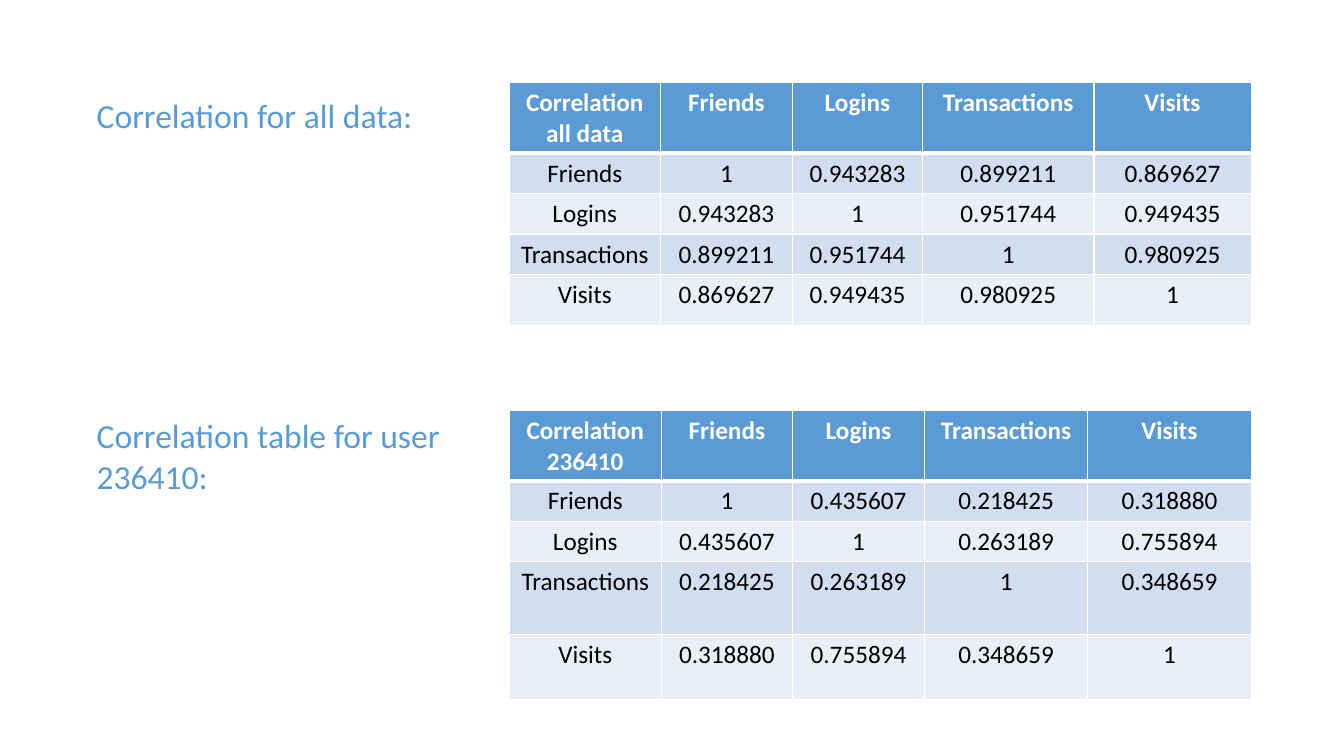
"""Build a slide with two labelled correlation tables."""
from dataclasses import dataclass
from itertools import combinations

from lxml import etree
from pptx import Presentation
from pptx.dml import color
from pptx.enum import text
from pptx.oxml import ns
from pptx import util as u

COLORS = {"accent": "5B9BD5", "white": "FFFFFF", "black": "000000",
          "band_dark": "D2DEEF", "band_light": "EAEFF7"}
FONT = "Calibri"
MEASURES = ("Friends", "Logins", "Transactions", "Visits")
TABLE_LEFT = 5.05
LABEL_LEFT = 0.86


@dataclass(frozen=True)
class Section:
    label: str
    corner: str
    top: float
    label_width: float
    label_height: float
    label_anchor: text.MSO_ANCHOR
    line_spacing: float
    columns: tuple[float, ...]
    rows: tuple[float, ...]
    correlations: tuple[str, ...]


SECTIONS = (
    Section("Correlation for all data:", "Correlation\nall data", 0.82, 3.92, 0.69,
            text.MSO_ANCHOR.MIDDLE, 0.9,
            (1.5, 1.31, 1.29, 1.7, 1.56), (0.7, 0.4, 0.4, 0.4, 0.51),
            ("0.943283", "0.899211", "0.869627", "0.951744", "0.949435", "0.980925")),
    Section("Correlation table for user 236410:", "Correlation 236410", 4.07, 3.65, 0.91,
            text.MSO_ANCHOR.TOP, 1.0,
            (1.51, 1.3, 1.31, 1.62, 1.62), (0.7, 0.4, 0.4, 0.72, 0.65),
            ("0.435607", "0.218425", "0.318880", "0.263189", "0.755894", "0.348659")),
)


def correlation_grid(section: Section) -> list[list[str]]:
    pairs = dict(zip(combinations(MEASURES, 2), section.correlations))
    grid = [[section.corner, *MEASURES]]
    for row in MEASURES:
        grid.append([row] + [pairs.get((row, column)) or pairs.get((column, row), "1")
                             for column in MEASURES])
    return grid


def format_text(frame, size: int, color_name: str, bold: bool = False) -> None:
    for paragraph in frame.paragraphs:
        for run in paragraph.runs:
            run.font.name = FONT
            run.font.size = u.Pt(size)
            run.font.bold = bold
            run.font.color.rgb = color.RGBColor.from_string(COLORS[color_name])


def set_borders(cell, top: int, bottom: int) -> None:
    properties = cell._tc.get_or_add_tcPr()
    widths = {"lnL": 1, "lnR": 1, "lnT": top, "lnB": bottom}
    for position, (side, width) in enumerate(widths.items()):
        line = etree.Element(ns.qn(f"a:{side}"), w=str(u.Pt(width)))
        fill = etree.SubElement(line, ns.qn("a:solidFill"))
        etree.SubElement(fill, ns.qn("a:srgbClr"), val=COLORS["white"])
        properties.insert(position, line)


def format_cell(cell, row: int) -> None:
    header = row == 0
    band = "accent" if header else "band_dark" if row % 2 else "band_light"
    cell.fill.solid()
    cell.fill.fore_color.rgb = color.RGBColor.from_string(COLORS[band])
    set_borders(cell, top=3 if row == 1 else 1, bottom=3 if header else 1)
    for paragraph in cell.text_frame.paragraphs:
        paragraph.alignment = text.PP_ALIGN.CENTER
    format_text(cell.text_frame, 18, "white" if header else "black", bold=header)


def add_label(slide, section: Section) -> None:
    shape = slide.shapes.add_textbox(
        u.Inches(LABEL_LEFT), u.Inches(section.top),
        u.Inches(section.label_width), u.Inches(section.label_height))
    frame = shape.text_frame
    frame.word_wrap = True
    frame.vertical_anchor = section.label_anchor
    frame.text = section.label
    frame.paragraphs[0].line_spacing = section.line_spacing
    format_text(frame, 24, "accent")


def add_correlation_table(slide, section: Section) -> None:
    table = slide.shapes.add_table(
        len(section.rows), len(section.columns),
        u.Inches(TABLE_LEFT), u.Inches(section.top),
        u.Inches(sum(section.columns)), u.Inches(sum(section.rows))).table
    for column, width in zip(table.columns, section.columns):
        column.width = u.Inches(width)
    for row, height in zip(table.rows, section.rows):
        row.height = u.Inches(height)
    for row_index, values in enumerate(correlation_grid(section)):
        for column_index, value in enumerate(values):
            cell = table.cell(row_index, column_index)
            cell.text_frame.text = value
            format_cell(cell, row_index)


def main() -> None:
    presentation = Presentation()
    presentation.slide_width = u.Inches(13.33)
    presentation.slide_height = u.Inches(7.5)
    slide = presentation.slides.add_slide(presentation.slide_layouts[6])
    for section in SECTIONS:
        add_label(slide, section)
        add_correlation_table(slide, section)
    presentation.save("out.pptx")


if __name__ == "__main__":
    main()
